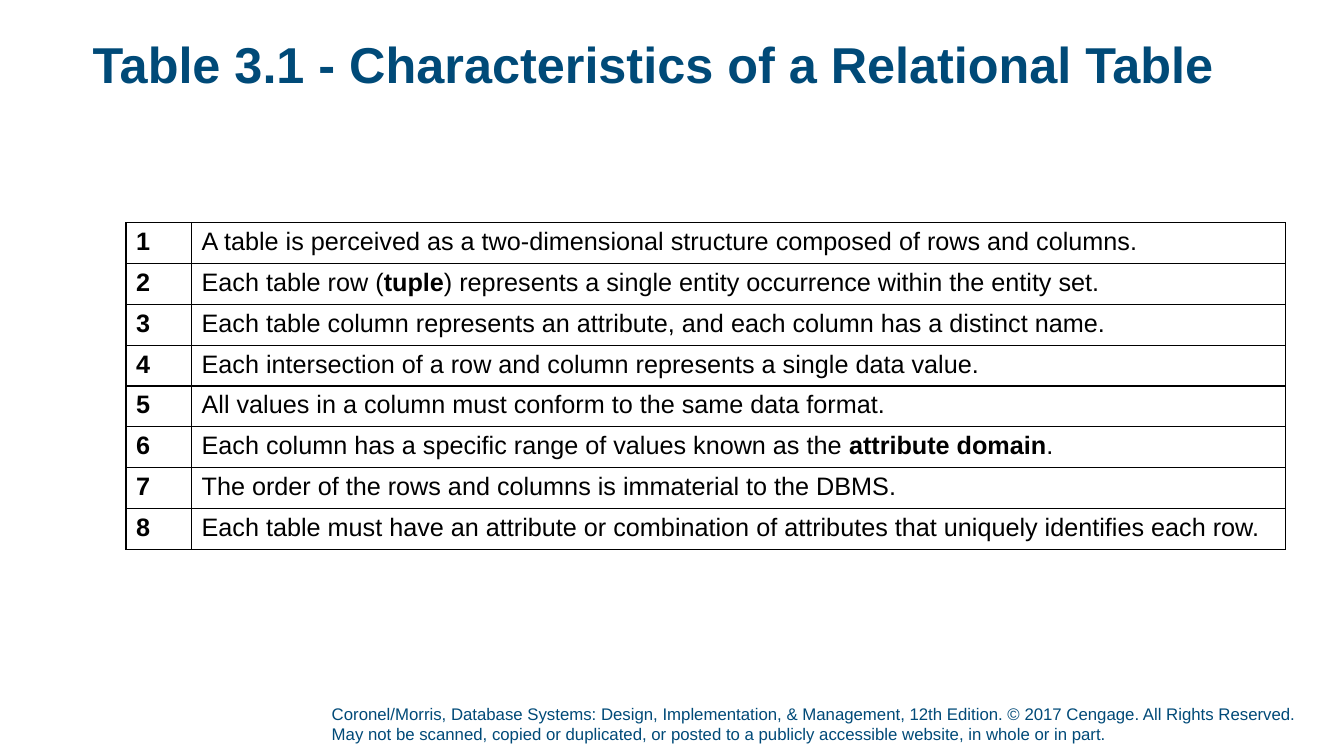
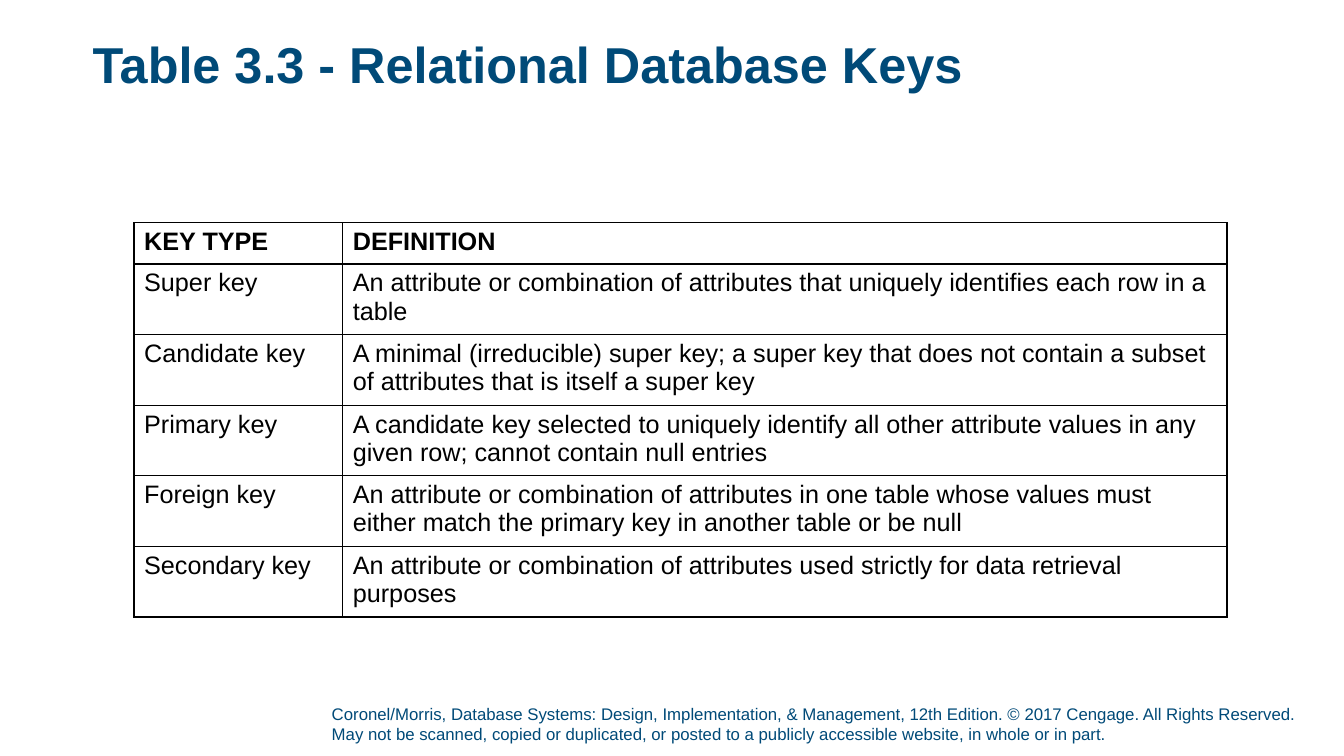
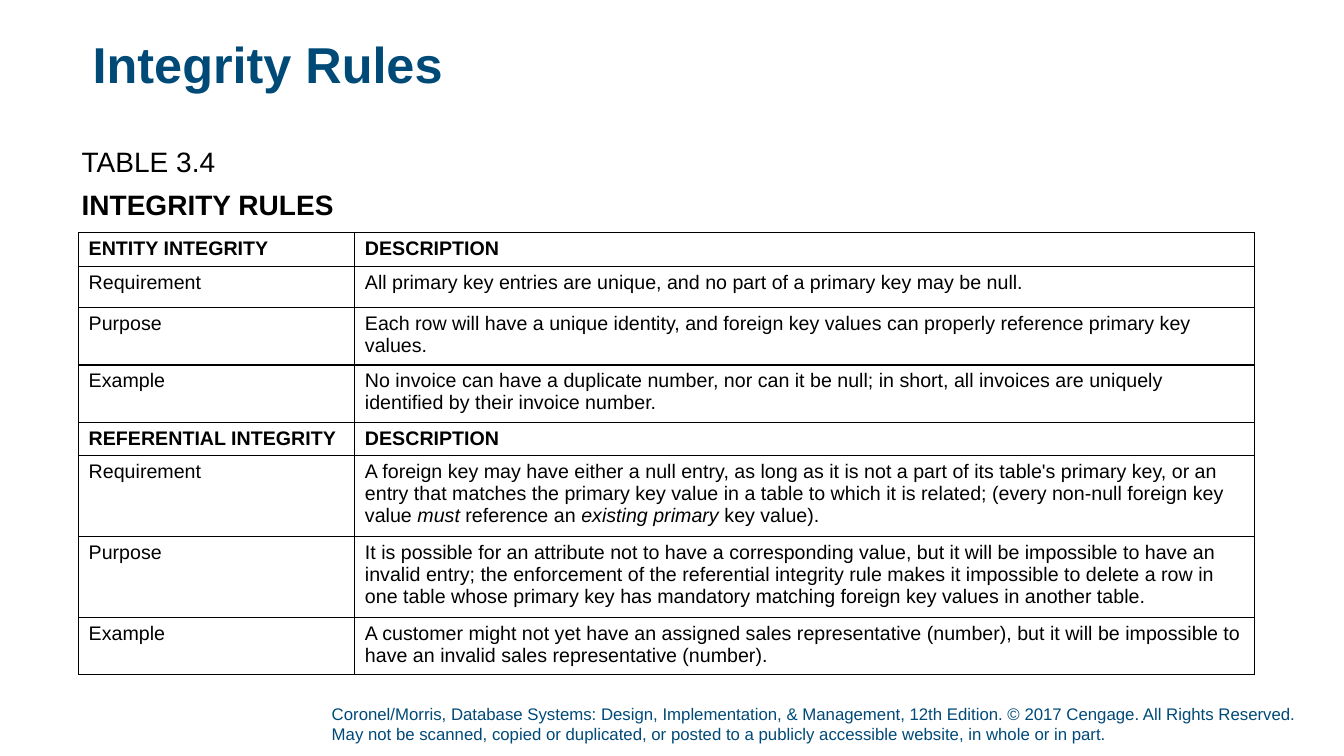
"""Build three slides of tables on the relational database model."""
from dataclasses import dataclass

import pptx
import pptx.dml.color
import pptx.enum.text
import pptx.oxml
import pptx.oxml.ns
import pptx.util
from pptx.util import Inches


@dataclass(frozen=True)
class Theme:
    """Colours, font and type sizes shared by the slides."""
    font: str = "Arial"
    accent: str = "004A78"
    ink: str = "000000"
    paper: str = "FFFFFF"
    title_size: int = 36
    caption_size: int = 20
    table_size: int = 18
    dense_size: int = 14
    footer_size: int = 12
    border: float = 1


THEME = Theme()
FOOTER = (
    "Coronel/Morris, Database Systems: Design, Implementation, & Management, "
    "12th Edition. © 2017 Cengage. All Rights Reserved. May not be scanned, "
    "copied or duplicated, or posted to a publicly accessible website, "
    "in whole or in part."
)

CHARACTERISTICS = [
    "A table is perceived as a two-dimensional structure composed of rows and columns.",
    "Each table row (|tuple|) represents a single entity occurrence within the entity set.",
    "Each table column represents an attribute, and each column has a distinct name.",
    "Each intersection of a row and column represents a single data value.",
    "All values in a column must conform to the same data format.",
    "Each column has a specific range of values known as the |attribute domain|.",
    "The order of the rows and columns is immaterial to the DBMS.",
    "Each table must have an attribute or combination of attributes that uniquely "
    "identifies each row.",
]

KEYS = [
    ("KEY TYPE", "DEFINITION"),
    ("Super key", "An attribute or combination of attributes that uniquely identifies "
     "each row in a table"),
    ("Candidate key", "A minimal (irreducible) super key; a super key that does not "
     "contain a subset of attributes that is itself a super key"),
    ("Primary key", "A candidate key selected to uniquely identify all other attribute "
     "values in any given row; cannot contain null entries"),
    ("Foreign key", "An attribute or combination of attributes in one table whose values "
     "must either match the primary key in another table or be null"),
    ("Secondary key", "An attribute or combination of attributes used strictly for data "
     "retrieval purposes"),
]

INTEGRITY = [
    ("ENTITY INTEGRITY", "DESCRIPTION"),
    ("Requirement", "All primary key entries are unique, and no part of a primary key "
     "may be null."),
    ("Purpose", "Each row will have a unique identity, and foreign key values can "
     "properly reference primary key values."),
    ("Example", "No invoice can have a duplicate number, nor can it be null; in short, "
     "all invoices are uniquely identified by their invoice number."),
    ("REFERENTIAL INTEGRITY", "DESCRIPTION"),
    ("Requirement", "A foreign key may have either a null entry, as long as it is not a "
     "part of its table's primary key, or an entry that matches the primary key value "
     "in a table to which it is related; (every non-null foreign key value |must| "
     "reference an |existing primary| key value)."),
    ("Purpose", "It is possible for an attribute not to have a corresponding value, but "
     "it will be impossible to have an invalid entry; the enforcement of the referential "
     "integrity rule makes it impossible to delete a row in one table whose primary key "
     "has mandatory matching foreign key values in another table."),
    ("Example", "A customer might not yet have an assigned sales representative (number), "
     "but it will be impossible to have an invalid sales representative (number)."),
]


def add_run(paragraph, text, size, color, bold=False, italic=False):
    """Append one styled run to a paragraph."""
    run = paragraph.add_run()
    run.text = text
    font = run.font
    font.name, font.size = THEME.font, pptx.util.Pt(size)
    font.bold, font.italic = bold, italic
    font.color.rgb = pptx.dml.color.RGBColor.from_string(color)


def add_text(slide, box, text, size, color, bold=False, spacing=None, bottom=0,
             anchor=pptx.enum.text.MSO_ANCHOR.TOP):
    """Add a wrapping text box with one paragraph."""
    frame = slide.shapes.add_textbox(*map(Inches, box)).text_frame
    frame.word_wrap = True
    frame.vertical_anchor = anchor
    frame.margin_left = frame.margin_right = frame.margin_top = 0
    frame.margin_bottom = Inches(bottom)
    paragraph = frame.paragraphs[0]
    paragraph.line_spacing = spacing
    add_run(paragraph, text, size, color, bold)


def add_titled_slide(deck, title):
    """Add a blank slide with the shared footer and a title."""
    slide = deck.slides.add_slide(deck.slide_layouts[6])
    background = slide.background.fill
    background.solid()
    background.fore_color.rgb = pptx.dml.color.RGBColor.from_string(THEME.paper)
    add_text(slide, (3.29, 6.98, 9.79, 0.45), FOOTER, THEME.footer_size, THEME.accent,
             bottom=0.05, anchor=pptx.enum.text.MSO_ANCHOR.BOTTOM)
    add_text(slide, (0.92, 0.4, 11.5, 0.74), title, THEME.title_size, THEME.accent,
             bold=True, spacing=0.9)
    return slide


def outline_cell(cell):
    """Draw a solid border on every side of a cell without fill."""
    properties = cell._tc.get_or_add_tcPr()
    for side in "LRTB":
        properties.append(pptx.oxml.parse_xml(
            f'<a:ln{side} {pptx.oxml.ns.nsdecls("a")} w="{pptx.util.Pt(THEME.border)}">'
            f'<a:solidFill><a:srgbClr val="{THEME.ink}"/></a:solidFill></a:ln{side}>'))
    cell.fill.background()


def add_grid(slide, corner, widths, heights, rows, size, bold_cells, emphasis="bold"):
    """Add a bordered table whose text between bars is emphasised."""
    table = slide.shapes.add_table(
        len(rows), len(widths), *map(Inches, (*corner, sum(widths), sum(heights)))).table
    table.first_row = table.horz_banding = False
    for column, width in zip(table.columns, widths):
        column.width = Inches(width)
    for r, (row, height) in enumerate(zip(rows, heights)):
        table.rows[r].height = Inches(height)
        for c, text in enumerate(row):
            cell = table.cell(r, c)
            outline_cell(cell)
            for part, words in enumerate(text.split("|")):
                style = {"bold": bold_cells(r, c)}
                if part % 2:
                    style[emphasis] = True
                add_run(cell.text_frame.paragraphs[0], words, size, THEME.ink, **style)


def add_characteristics(deck):
    """Add the slide on the characteristics of a relational table."""
    slide = add_titled_slide(deck, "Table 3.1 - Characteristics of a Relational Table")
    rows = [(str(n), text) for n, text in enumerate(CHARACTERISTICS, 1)]
    add_grid(slide, (1.25, 2.21), (0.65, 10.85), [3.24 / len(rows)] * len(rows), rows,
             THEME.table_size, lambda r, c: c == 0)


def add_keys(deck):
    """Add the slide on relational database keys."""
    slide = add_titled_slide(deck, "Table 3.3 - Relational Database Keys")
    add_grid(slide, (1.33, 2.21), (2.07, 8.77), [0.41] + [0.66] * (len(KEYS) - 1), KEYS,
             THEME.table_size, lambda r, c: r == 0)


def add_integrity_rules(deck):
    """Add the slide on integrity rules."""
    slide = add_titled_slide(deck, "Integrity Rules")
    add_text(slide, (0.81, 1.47, 11.72, 0.31), "TABLE 3.4", THEME.caption_size,
             THEME.ink, spacing=0.9)
    add_text(slide, (0.81, 1.9, 2.75, 0.31), "INTEGRITY RULES", THEME.caption_size,
             THEME.ink, bold=True, spacing=0.9)
    heights = (0.33, 0.41, 0.54, 0.54, 0.31, 0.76, 0.76, 0.54)
    add_grid(slide, (0.78, 2.31), (2.74, 8.92), heights, INTEGRITY, THEME.dense_size,
             lambda r, c: r % 4 == 0, emphasis="italic")


def main():
    """Build and save the presentation."""
    deck = pptx.Presentation()
    deck.slide_width, deck.slide_height = Inches(13.33), Inches(7.5)
    add_characteristics(deck)
    add_keys(deck)
    add_integrity_rules(deck)
    deck.save("out.pptx")


if __name__ == "__main__":
    main()
